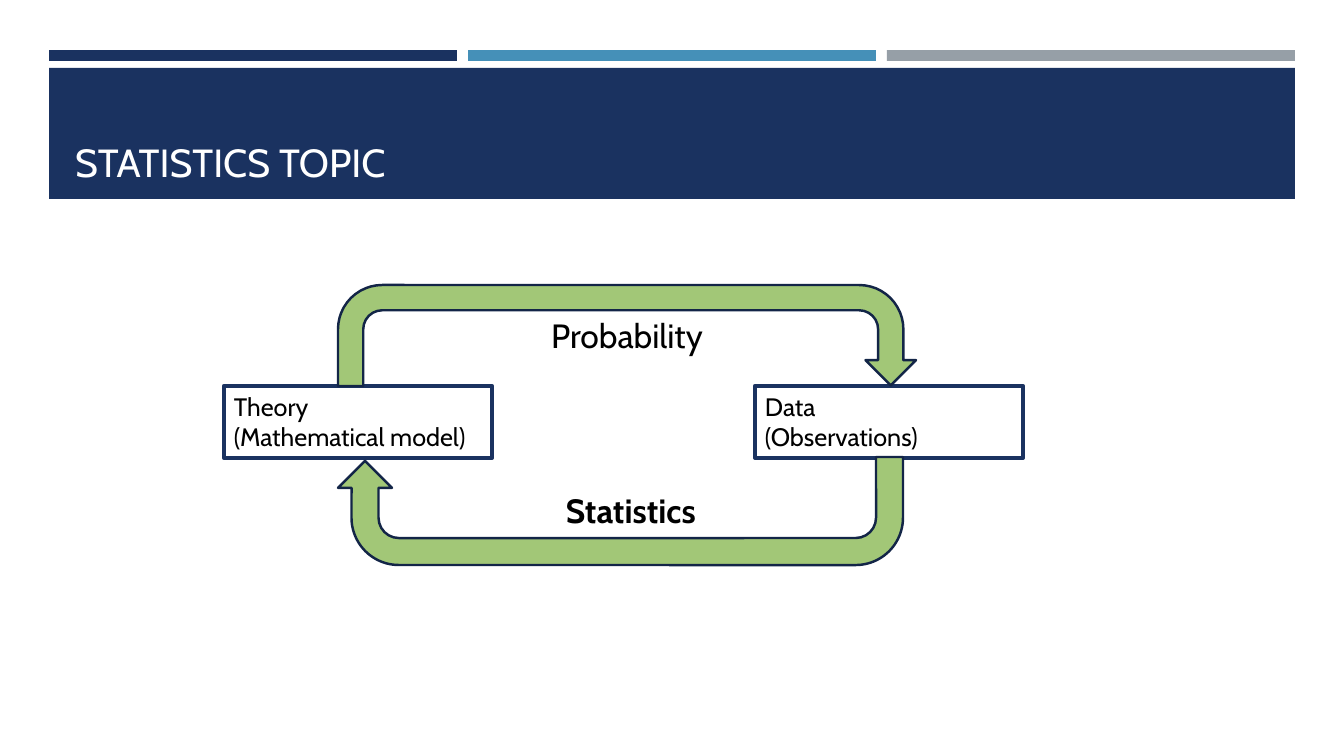
"""Build the slide showing how probability and statistics link theory and data."""
from pptx import Presentation
from pptx.dml.color import RGBColor
from pptx.enum.shapes import MSO_SHAPE as Shape
from pptx.enum.text import MSO_ANCHOR as Anchor, PP_ALIGN as Align
from pptx.util import Emu, Pt

PX = 914400 / 100.8
NAVY, BLUE, GREY = "1A3260", "4590B8", "969FA7"
GREEN, OUTLINE, BLACK, WHITE = "A2C777", "132547", "000000", "FFFFFF"


def add_figure(kind, box, fill=None, line=None, width=0):
    figure = slide.shapes.add_shape(kind, *[Emu(round(v * PX)) for v in box])
    figure.shadow.inherit = False
    for part, color in ((figure.fill, fill), (figure.line.fill, line)):
        if color:
            part.solid()
            part.fore_color.rgb = RGBColor.from_string(color)
        else:
            part.background()
    if line:
        figure.line.width = Pt(width)
    return figure


def write(frame, text, size, color=BLACK, bold=False, align=Align.LEFT, anchor=Anchor.TOP, wrap=True):
    frame.text = text
    frame.word_wrap = wrap
    frame.vertical_anchor = anchor
    for paragraph in frame.paragraphs:
        paragraph.alignment = align
        font = paragraph.runs[0].font
        for key, value in {"name": "Cabin", "size": Pt(size), "bold": bold}.items():
            setattr(font, key, value)
        font.color.rgb = RGBColor.from_string(color)


deck = Presentation()
deck.slide_width, deck.slide_height = Emu(round(1344 * PX)), Emu(round(756 * PX))
slide = deck.slides.add_slide(deck.slide_layouts[5])

for column, color in enumerate((NAVY, BLUE, GREY)):
    add_figure(Shape.RECTANGLE, (49 + 419 * column, 50, 408, 11), color)
banner = add_figure(Shape.RECTANGLE, (49, 68, 1246, 131), NAVY)

heading = slide.shapes.title
for side, length in {"left": 65, "top": 78, "width": 1216, "height": 112}.items():
    setattr(heading, side, Emu(round(length * PX)))
write(heading.text_frame, "STATISTICS TOPIC", 28, WHITE, anchor=Anchor.BOTTOM)
banner.element.addnext(heading.element)

for left, label in ((224, "Theory\n(Mathematical model)"), (755, "Data\n(Observations)")):
    stage = add_figure(Shape.RECTANGLE, (left, 386, 268, 72), line=NAVY, width=3)
    write(stage.text_frame, label, 18)

for box, turn, reach, label in (
    ((338, 285, 578, 101), 0, 0.994, "Probability"),
    ((338, 457, 565, 108), 180, 0.965, ""),
):
    arrow = add_figure(Shape.U_TURN_ARROW, box, GREEN, OUTLINE, 1.75)
    arrow.rotation = turn
    for index, ratio in enumerate((0.25, 0.25, 0.25, 0.438, reach)):
        arrow.adjustments[index] = ratio
    if label:
        write(arrow.text_frame, label, 24, align=Align.CENTER, anchor=Anchor.MIDDLE)

statistics = slide.shapes.add_textbox(*[Emu(round(v * PX)) for v in (556, 485, 164, 50)])
write(statistics.text_frame, "Statistics", 24, bold=True, wrap=False)

deck.save("out.pptx")
